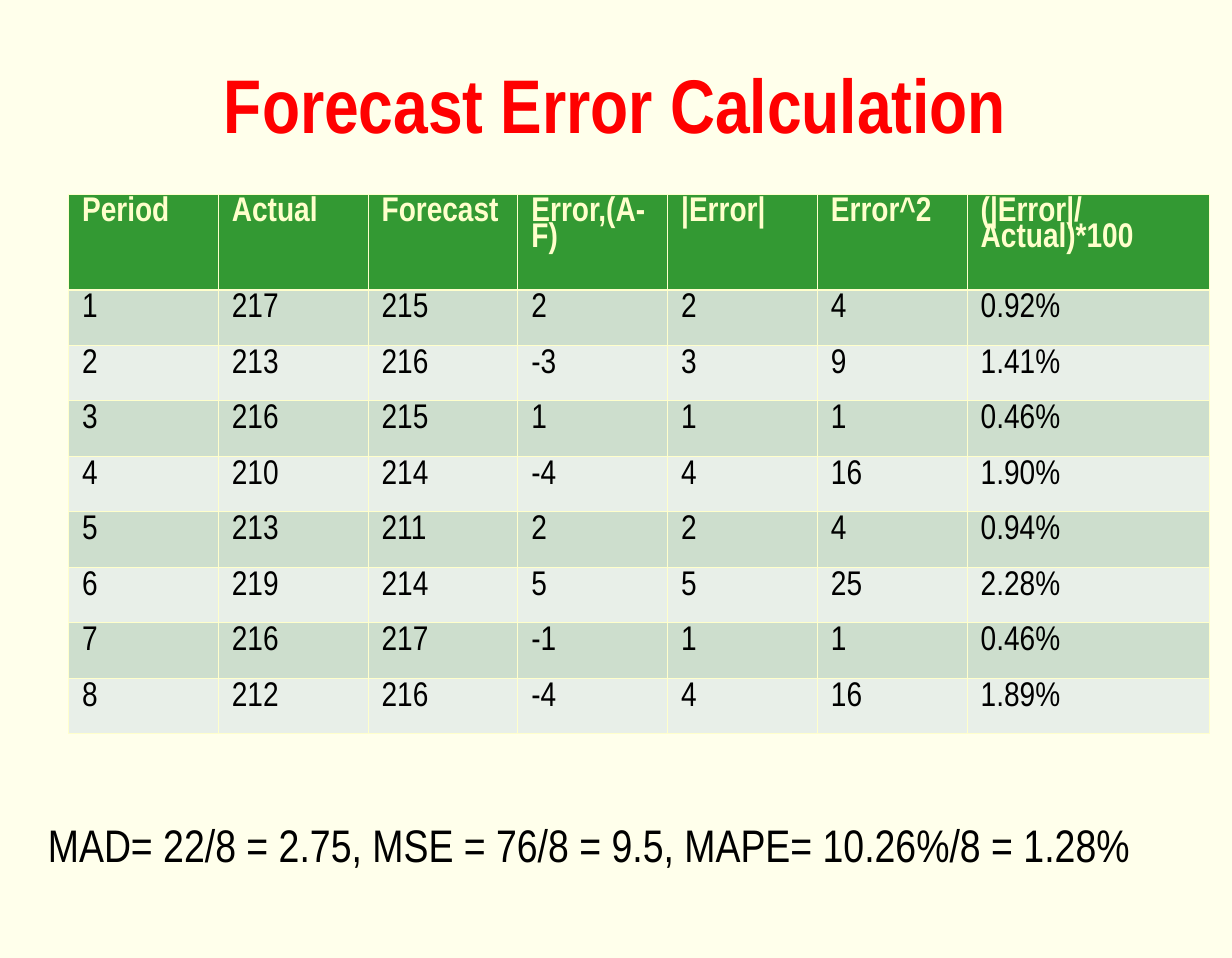
from lxml.etree import SubElement
from pptx import Presentation
from pptx.dml.color import RGBColor
from pptx.enum.text import MSO_ANCHOR, PP_ALIGN
from pptx.oxml.ns import qn
from pptx.util import Cm, Pt

FONT = "Arial Narrow"
IVORY = RGBColor(0xFF, 0xFF, 0xEB)
CREAM = RGBColor(0xFF, 0xFF, 0xCC)
RED = RGBColor(0xFF, 0x00, 0x00)
BLACK = RGBColor(0x00, 0x00, 0x00)
GREEN = RGBColor(0x33, 0x99, 0x33)
BANDS = (RGBColor(0xCD, 0xDE, 0xCD), RGBColor(0xE8, 0xEF, 0xE8))

ROWS = [
    ("Period", "Actual", "Forecast", "Error,(A-F)", "|Error|", "Error^2",
     "(|Error|/Actual)*100"),
    ("1", "217", "215", "2", "2", "4", "0.92%"),
    ("2", "213", "216", "-3", "3", "9", "1.41%"),
    ("3", "216", "215", "1", "1", "1", "0.46%"),
    ("4", "210", "214", "-4", "4", "16", "1.90%"),
    ("5", "213", "211", "2", "2", "4", "0.94%"),
    ("6", "219", "214", "5", "5", "25", "2.28%"),
    ("7", "216", "217", "-1", "1", "1", "0.46%"),
    ("8", "212", "216", "-4", "4", "16", "1.89%"),
]


def add_run(p, text, size, color, bold=False):
    r = p.add_run()
    r.text = text
    r.font.name = FONT
    r.font.size = Pt(size)
    r.font.bold = bold
    r.font.color.rgb = color


def add_border(cell, side, width):
    ln = SubElement(cell._tc.get_or_add_tcPr(), qn(f"a:{side}"), w=str(Pt(width)))
    fill = SubElement(ln, qn("a:solidFill"))
    SubElement(fill, qn("a:srgbClr"), val=str(CREAM))


prs = Presentation()
prs.slide_width, prs.slide_height = Cm(22.86), Cm(17.78)
slide = prs.slides.add_slide(prs.slide_layouts[5])
slide.background.fill.solid()
slide.background.fill.fore_color.rgb = IVORY

# Title
title = slide.shapes.title
title.left, title.top, title.width, title.height = Cm(1.7), Cm(0.43), Cm(19.43), Cm(2.97)
tf = title.text_frame
tf.vertical_anchor = MSO_ANCHOR.MIDDLE
p = tf.paragraphs[0]
p.alignment = PP_ALIGN.CENTER
add_run(p, "Forecast Error Calculation", 40, RED, bold=True)

# Forecast table
table = slide.shapes.add_table(len(ROWS), len(ROWS[0]), Cm(1.27), Cm(3.6),
                               Cm(21.18), Cm(10.02)).table
for i, column in enumerate(table.columns):
    column.width = Cm(4.5 if i == 6 else 2.78)

for i, values in enumerate(ROWS):
    header = i == 0
    table.rows[i].height = Cm(1.78 if header else 1.03)
    for j, value in enumerate(values):
        cell = table.cell(i, j)
        p = cell.text_frame.paragraphs[0]
        p.line_spacing = 0.81
        add_run(p, value, 18, CREAM if header else BLACK, bold=header)
        # Borders come before the fill in the cell properties
        add_border(cell, "lnL", 0.45)
        add_border(cell, "lnR", 0.45)
        add_border(cell, "lnT", 1.47 if i == 1 else 0.45)
        add_border(cell, "lnB", 1.47 if header else 0.45)
        cell.fill.solid()
        cell.fill.fore_color.rgb = GREEN if header else BANDS[(i - 1) % 2]

# Error measures
box = slide.shapes.add_textbox(Cm(0.64), Cm(15.04), Cm(21.59), Cm(1.27))
tf = box.text_frame
tf.word_wrap = True
add_run(tf.paragraphs[0],
        "MAD= 22/8 = 2.75, MSE = 76/8 = 9.5, MAPE= 10.26%/8 = 1.28%", 24, BLACK)

prs.save("out.pptx")
